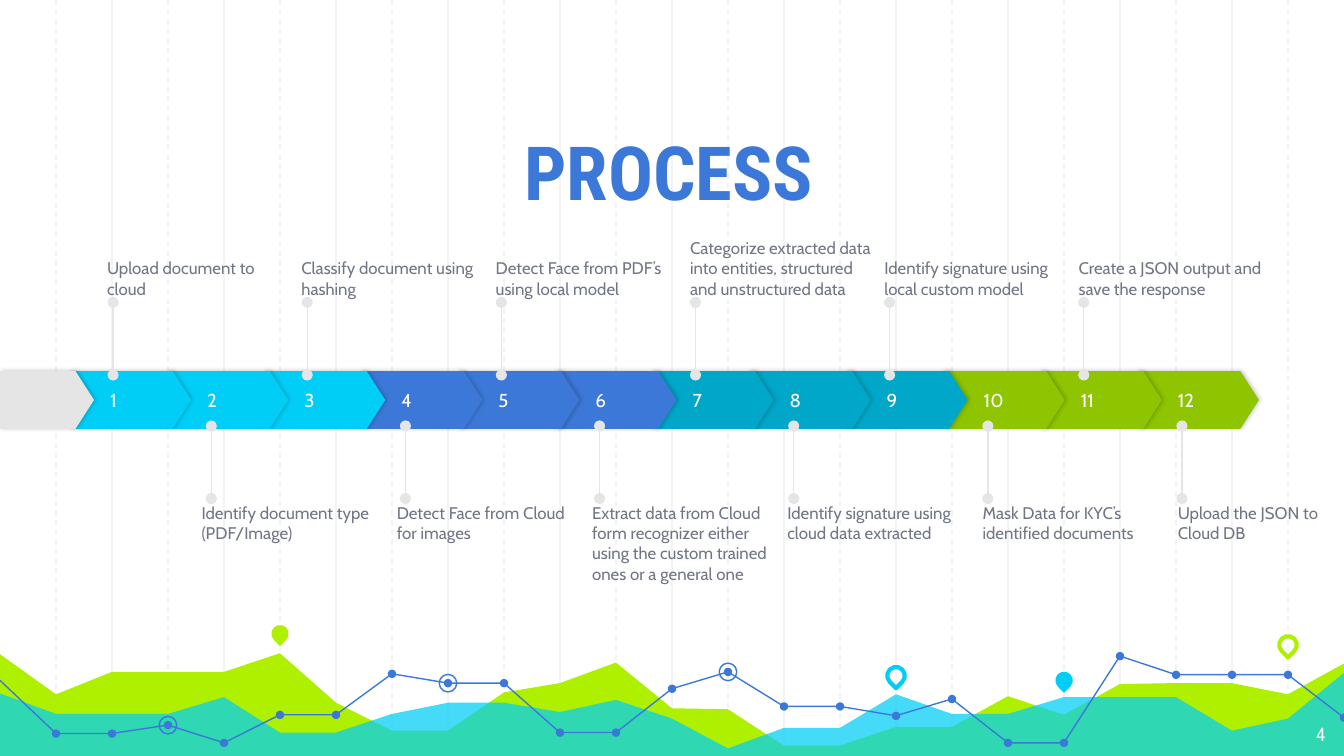
from lxml import etree
from pptx import Presentation
from pptx.dml.color import RGBColor
from pptx.enum.dml import MSO_LINE
from pptx.enum.shapes import MSO_CONNECTOR, MSO_SHAPE
from pptx.enum.text import MSO_ANCHOR, MSO_AUTO_SIZE, PP_ALIGN
from pptx.oxml import parse_xml
from pptx.oxml.ns import nsdecls, qn
from pptx.util import Pt


def paint(target, fill=None, line=None, weight=0.75):
    target.shadow.inherit = False
    if fill:
        target.fill.solid()
        target.fill.fore_color.rgb = RGBColor.from_string(fill)
    else:
        target.fill.background()
    if line:
        target.line.color.rgb = RGBColor.from_string(line)
        target.line.width = Pt(weight)
    else:
        target.line.fill.background()


def write(target, text, font, size, color, anchor=MSO_ANCHOR.TOP,
          align=PP_ALIGN.LEFT, inset=0, left_inset=0):
    frame = target.text_frame
    frame.word_wrap = True
    frame.auto_size = MSO_AUTO_SIZE.NONE
    frame.vertical_anchor = anchor
    frame.margin_top = frame.margin_right = frame.margin_bottom = Pt(inset)
    frame.margin_left = Pt(left_inset or inset)
    paragraph = frame.paragraphs[0]
    paragraph.text = text
    paragraph.alignment = align
    paragraph.font.name = font
    paragraph.font.size = Pt(size)
    paragraph.font.color.rgb = RGBColor.from_string(color)
    return paragraph


WIDTH, HEIGHT, GRID = 720, 405, 30
BLUE, CYAN, TEAL, GREEN, LIME = "3C78D8", "00CEF6", "00A7C8", "8EC400", "AFF000"
GREY, WHITE = "E5E5E5", "FFFFFF"

presentation = Presentation()
presentation.slide_width = Pt(WIDTH)
presentation.slide_height = Pt(HEIGHT)
slide = presentation.slides.add_slide(presentation.slide_layouts[5])
shapes = slide.shapes

for column in range(1, 24):
    x = Pt(column * GRID)
    grid_line = shapes.add_connector(MSO_CONNECTOR.STRAIGHT, x, 0, x, Pt(HEIGHT))
    grid_line.line.color.rgb = RGBColor.from_string("F3F3F3")
    grid_line.line.width = Pt(0.75)
    if column % 2:
        grid_line.line.dash_style = MSO_LINE.DASH
    etree.SubElement(grid_line._element.spPr, qn("a:effectLst"))

lime_heights = [350.5, 372, 360, 360, 360, 350, 376.5, 391.5, 391.5, 371, 366, 355, 379.5,
                380, 399.5, 399.5, 389.5, 389.5, 373, 383, 366.5, 366, 366, 372, 355.5]
cyan_heights = [371.5, 382.5, 382.5, 382.5, 373.5, 392.5, 392.5, 382.5, 376.5, 376.5, 381.5,
                375, 385, 401, 390, 390, 372, 382.5, 382.5, 373.5, 373.5, 373.5, 391.5, 385,
                360.5]
line_heights = [364.5, 393, 393, 388.5, 398, 383, 383, 361, 366, 366, 392.5, 392.5, 369,
                360, 378.5, 378.5, 383.5, 374.5, 398, 398, 351.5, 361.5, 361.5, 361.5, 384.5]

for heights, color in [(lime_heights, LIME), (cyan_heights, CYAN)]:
    points = [(Pt(i * GRID), Pt(y)) for i, y in enumerate(heights)]
    builder = shapes.build_freeform(0, Pt(HEIGHT))
    builder.add_line_segments(points + [(Pt(WIDTH), Pt(HEIGHT))], close=True)
    area = builder.convert_to_shape()
    paint(area, color)
    if color == CYAN:
        color_element = area._element.spPr.find(qn("a:solidFill"))[0]
        etree.SubElement(color_element, qn("a:alpha"), val="73000")

points = [(Pt(i * GRID), Pt(y)) for i, y in enumerate(line_heights)]
builder = shapes.build_freeform(*points[0])
builder.add_line_segments(points[1:], close=False)
paint(builder.convert_to_shape(), line=BLUE)

dots = [(column, 4.5, BLUE, None) for column in range(1, 25)]
rings = [(column, 9.4, None, BLUE) for column in (3, 8, 13)]
for column, size, fill, line in dots + rings:
    marker = shapes.add_shape(MSO_SHAPE.OVAL, Pt(column * GRID - size / 2),
                              Pt(line_heights[column] - size / 2), Pt(size), Pt(size))
    paint(marker, fill, line)

for column, y, fill, line in [(5, 339.5, LIME, None), (16, 362, None, CYAN),
                              (19, 364.5, CYAN, None), (23, 345.5, None, LIME)]:
    pin = shapes.add_shape(MSO_SHAPE.TEAR, Pt(column * GRID - 4.7), Pt(y - 4.7), Pt(9.4), Pt(9.4))
    pin.rotation = 135
    paint(pin, fill, line, 2.25)

title = shapes.title
title._element.getparent().append(title._element)
title.left, title.top, title.width, title.height = Pt(82.8), Pt(49.7), Pt(550.8), Pt(72.7)
write(title, "PROCESS", "Roboto Condensed", 40, BLUE, MSO_ANCHOR.BOTTOM,
      PP_ALIGN.CENTER, 7.2).font.bold = True

page_number = shapes.add_textbox(Pt(674), Pt(380), Pt(43), Pt(25))
write(page_number, "4", "Roboto Condensed", 10, WHITE, align=PP_ALIGN.RIGHT, inset=7.2)

step_colors = [CYAN, BLUE, TEAL, GREEN]
arrows = [(str(i + 1), 37.4 + 52 * i, 65, step_colors[i // 3]) for i in reversed(range(12))]
for label, left, width, color in arrows + [("", 0, 50.4, GREY)]:
    arrow = shapes.add_shape(MSO_SHAPE.PENTAGON, Pt(left), Pt(198.8), Pt(width), Pt(31))
    arrow.adjustments[0] = 0.32
    paint(arrow, color)
    arrow._element.spPr.find(qn("a:effectLst")).append(parse_xml(
        f'<a:outerShdw {nsdecls("a")} blurRad="{Pt(2.2)}" dist="{Pt(0.8)}" dir="0" '
        'algn="bl" rotWithShape="0"><a:srgbClr val="000000"><a:alpha val="20000"/>'
        '</a:srgbClr></a:outerShdw>'))
    if label:
        write(arrow, label, "Cabin", 10, WHITE, MSO_ANCHOR.MIDDLE, left_inset=21.6)

upper_steps = [
    "Upload document to cloud",
    "Classify document using hashing",
    "Detect Face from PDF’s using local model",
    "Categorize extracted data into entities, structured and unstructured data",
    "Identify signature using local custom model",
    "Create a JSON output and save the response",
]
lower_steps = [
    "Identify document type (PDF/Image)",
    "Detect Face from Cloud for images",
    "Extract data from Cloud form recognizer either using the custom trained ones or a general one",
    "Identify signature using cloud data extracted",
    "Mask Data for KYC’s identified documents",
    "Upload the JSON to Cloud DB",
]
rows = [
    (upper_steps, 60.6, 200.9, 162, 57.4, 104.1, 118.1, MSO_ANCHOR.BOTTOM),
    (lower_steps, 113.2, 267.1, 228.2, 108, 104.6, 269.3, MSO_ANCHOR.TOP),
]
for steps, stem_left, stem_start, stem_end, text_left, pitch, text_top, anchor in rows:
    for i, text in enumerate(steps):
        x = Pt(stem_left + 104 * i)
        stem = shapes.add_connector(MSO_CONNECTOR.STRAIGHT, x, Pt(stem_start), x, Pt(stem_end))
        stem.line.color.rgb = RGBColor.from_string(GREY)
        stem.line.width = Pt(0.75)
        for end in ("a:headEnd", "a:tailEnd"):
            etree.SubElement(stem.line._get_or_add_ln(), qn(end), type="oval")
        etree.SubElement(stem._element.spPr, qn("a:effectLst"))
        left = text_left + pitch * i
        caption = shapes.add_textbox(Pt(left), Pt(text_top), Pt(min(98.6, 712 - left)), Pt(41.8))
        write(caption, text, "Cabin", 9, "707685", anchor)

presentation.save("out.pptx")
